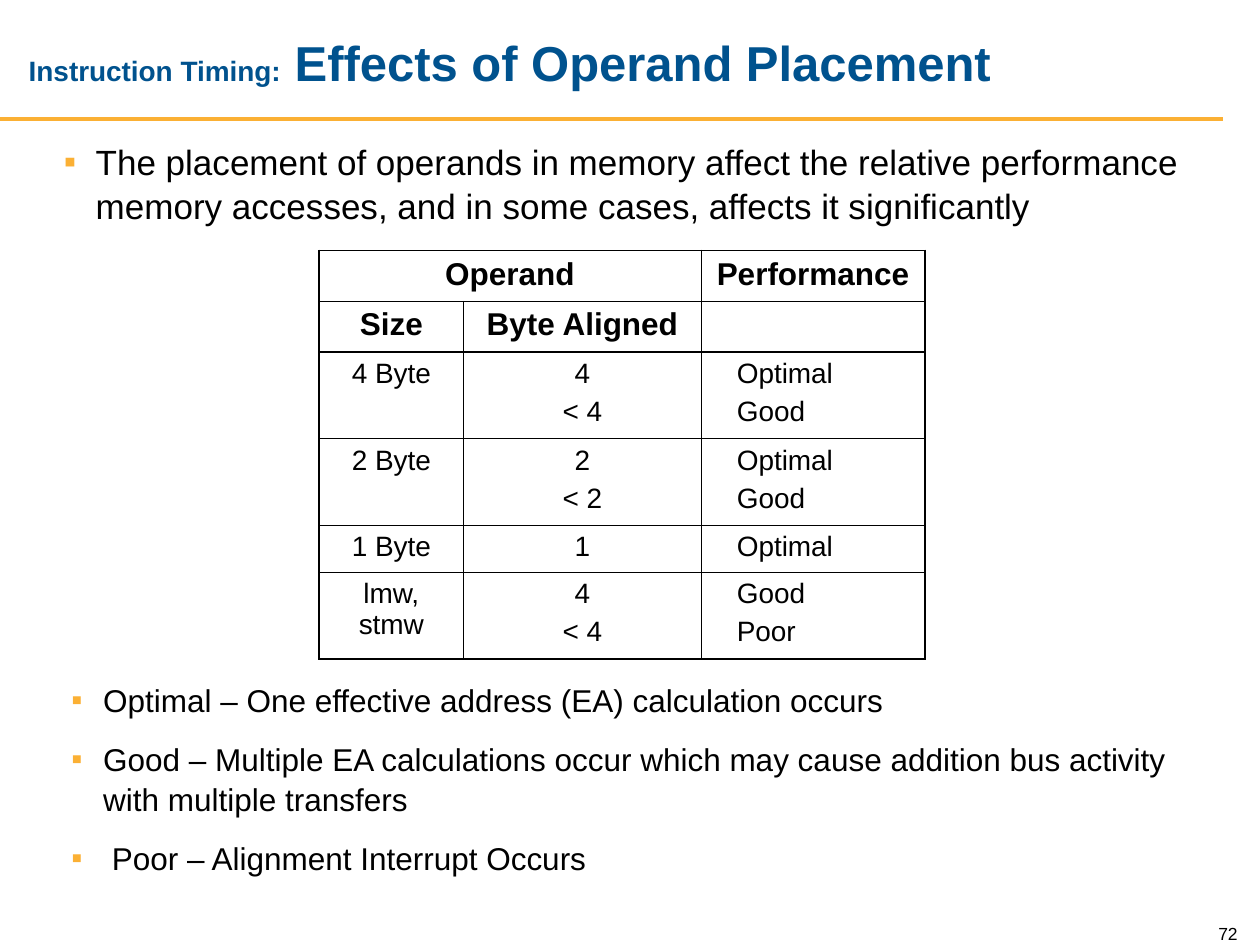
from dataclasses import dataclass
from typing import Any

from lxml.etree import SubElement as Sub
from pptx import Presentation as Deck
from pptx.dml.color import RGBColor as Rgb
from pptx.enum.shapes import MSO_CONNECTOR as Link
from pptx.enum.text import MSO_ANCHOR as Anchor, PP_ALIGN as Align
from pptx.oxml.ns import qn
from pptx.util import Cm, Pt


@dataclass(frozen=True)
class Theme:
    font: str = "Arial"
    blue: str = "00528E"
    gold: str = "FBB034"
    ink: str = "000000"
    lead: int = 16
    title: int = 28
    main: int = 20
    note: int = 18
    head: int = 18
    cell: int = 16
    page: int = 10
    thick: float = 1.08
    thin: float = 0.45


@dataclass(frozen=True)
class Run:
    text: str
    size: int
    color: str
    bold: bool = False


@dataclass(frozen=True)
class Para:
    runs: list[Run]
    form: dict[str, Any]
    margin: float = 0
    bullet: bool = False


@dataclass(frozen=True)
class Box:
    left: float
    top: float
    width: float
    height: float
    anchor: Any
    paras: list[Para]


THEME = Theme()
COLS = [2.92, 4.78, 4.52]
ROWS = [1.02, 1.02, 1.75, 1.75, 0.94, 1.75]
HEADS = 2
GRID = [
    [["Operand"], [], ["Performance"]],
    [["Size"], ["Byte Aligned"], []],
    [["4 Byte"], ["4", "< 4"], ["Optimal", "Good"]],
    [["2 Byte"], ["2", "< 2"], ["Optimal", "Good"]],
    [["1 Byte"], ["1"], ["Optimal"]],
    [["lmw, stmw"], ["4", "< 4"], ["Good", "Poor"]],
]


def apply(target: Any, form: dict[str, Any]) -> None:
    for key, value in form.items():
        setattr(target, key, value)


def mark(props: Any) -> None:
    tint = Sub(props, qn("a:buClr"))
    Sub(tint, qn("a:srgbClr"), val=THEME.gold)
    Sub(props, qn("a:buFont"), typeface=THEME.font)
    Sub(props, qn("a:buChar"), char="▪")


def write(frame: Any, paras: list[Para]) -> None:
    for index, item in enumerate(paras):
        para = frame.add_paragraph() if index else frame.paragraphs[0]
        props = para._p.get_or_add_pPr()
        if item.margin:
            props.set("marL", str(Cm(item.margin)))
        if item.bullet:
            props.set("indent", str(-Cm(item.margin)))
            mark(props)
        apply(para, item.form)
        for part in item.runs:
            run = para.add_run()
            run.text = part.text
            apply(run.font, {"name": THEME.font, "size": Pt(part.size), "bold": part.bold})
            run.font.color.rgb = Rgb.from_string(part.color)


def draw_box(slide: Any, box: Box) -> None:
    shape = slide.shapes.add_textbox(*map(Cm, (box.left, box.top, box.width, box.height)))
    apply(shape.text_frame, {"word_wrap": True, "vertical_anchor": box.anchor})
    write(shape.text_frame, box.paras)


def points(texts: list[str], size: int, gap: float) -> list[Para]:
    return [
        Para(
            [Run(text, size, THEME.ink)],
            {"line_spacing": 1.05, "space_before": Pt(gap if index else 0)},
            margin=0.64,
            bullet=True,
        )
        for index, text in enumerate(texts)
    ]


def draw_rule(slide: Any) -> None:
    rule = slide.shapes.add_connector(Link.STRAIGHT, Cm(0), Cm(2.39), Cm(24.66), Cm(2.39))
    rule.line.color.rgb = Rgb.from_string(THEME.gold)
    rule.line.width = Pt(2.25)
    Sub(rule._element.spPr, qn("a:effectLst"))


def edge(cell: Any, row: int, col: int) -> None:
    heavy = {
        "L": col == 0,
        "R": col == len(COLS) - 1,
        "T": row in (0, HEADS),
        "B": row in (HEADS - 1, len(ROWS) - 1),
    }
    props = cell._tc.get_or_add_tcPr()
    for side, thick in heavy.items():
        width = Pt(THEME.thick if thick else THEME.thin)
        line = Sub(props, qn(f"a:ln{side}"), w=str(width))
        Sub(Sub(line, qn("a:solidFill")), qn("a:srgbClr"), val=THEME.ink)


def fill_cell(cell: Any, row: int, col: int) -> None:
    head = row < HEADS
    left = not head and col == len(COLS) - 1
    size = THEME.head if head else THEME.cell
    paras = [
        Para(
            [Run(text, size, THEME.ink, head)],
            {
                "alignment": Align.LEFT if left else Align.CENTER,
                "space_before": Pt(4 if index else 0),
            },
            margin=0.47 if left else 0,
        )
        for index, text in enumerate(GRID[row][col])
    ]
    write(cell.text_frame, paras)
    edge(cell, row, col)
    cell.fill.background()


def draw_table(slide: Any) -> None:
    table = slide.shapes.add_table(
        len(ROWS), len(COLS), Cm(6.43), Cm(5.05), Cm(sum(COLS)), Cm(sum(ROWS))
    ).table
    apply(table, {"first_row": False, "horz_banding": False})
    for col, width in zip(table.columns, COLS):
        col.width = Cm(width)
    for row, height in zip(table.rows, ROWS):
        row.height = Cm(height)
    table.cell(0, 0).merge(table.cell(0, 1))
    for row in range(len(ROWS)):
        for col in range(len(COLS)):
            fill_cell(table.cell(row, col), row, col)


def main() -> None:
    deck = Deck()
    apply(deck, {"slide_width": Cm(25.4), "slide_height": Cm(19.05)})
    slide = deck.slides.add_slide(deck.slide_layouts[6])
    title = [
        Run("Instruction Timing:", THEME.lead, THEME.blue, True),
        Run(" Effects of Operand Placement", THEME.title, THEME.blue, True),
    ]
    page = Para([Run("72", THEME.page, THEME.ink)], {"alignment": Align.RIGHT})
    intro = points([
        "The placement of operands in memory affect the relative performance "
        "memory accesses, and in some cases, affects it significantly",
    ], THEME.main, 12.5)
    notes = points([
        "Optimal – One effective address (EA) calculation occurs",
        "Good – Multiple EA calculations occur which may cause addition bus "
        "activity with multiple transfers",
        " Poor – Alignment Interrupt Occurs",
    ], THEME.note, 11.2)
    draw_rule(slide)
    draw_box(slide, Box(23.93, 18.39, 1.27, 0.76, Anchor.BOTTOM, [page]))
    draw_box(slide, Box(0.33, 0.3, 21.74, 1.9, Anchor.MIDDLE, [Para(title, {})]))
    draw_box(slide, Box(1.04, 2.67, 23.37, 1.96, Anchor.TOP, intro))
    draw_table(slide)
    draw_box(slide, Box(1.19, 13.56, 22.76, 4.11, Anchor.TOP, notes))
    deck.save("out.pptx")


if __name__ == "__main__":
    main()
